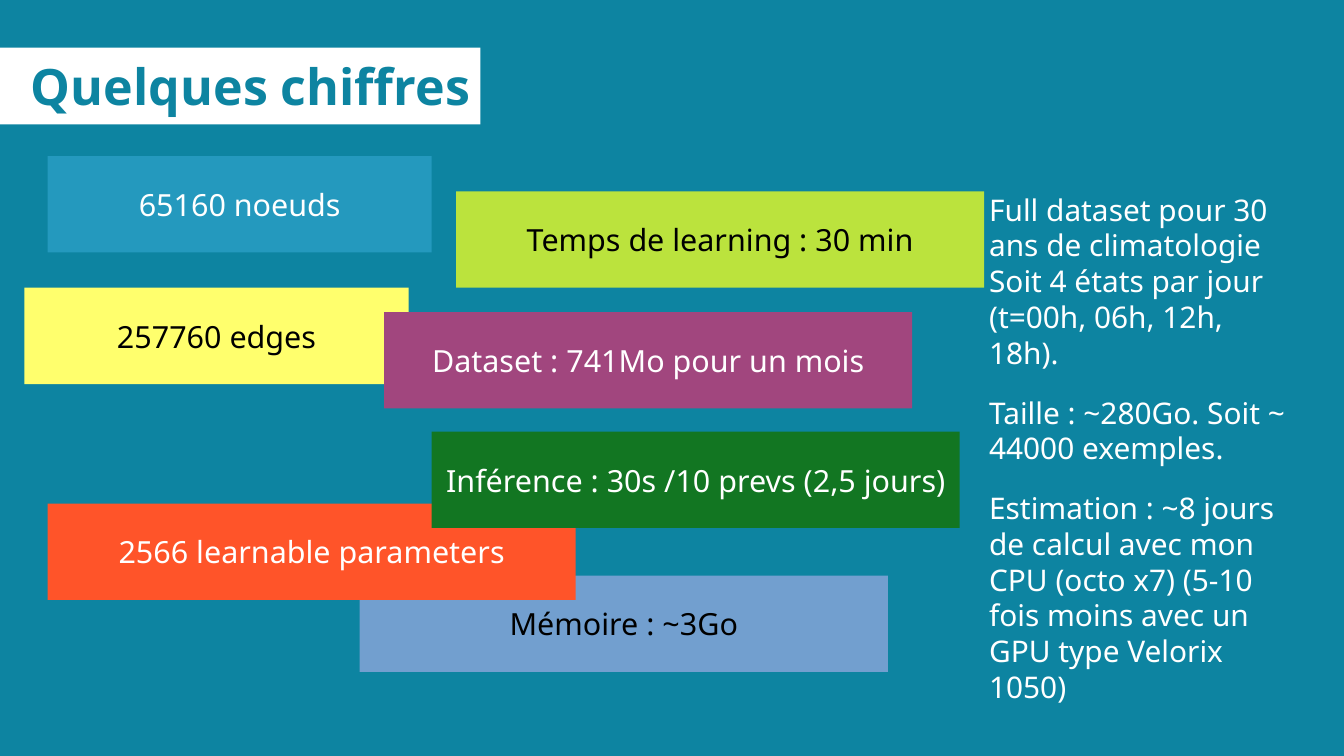
from dataclasses import dataclass

from pptx import Presentation
from pptx import util as u
from pptx.dml.color import RGBColor
from pptx.enum import shapes, text

FONT = "Noto Sans"
TEAL = RGBColor(0x0D, 0x84, 0xA1)
WHITE = RGBColor(0xFF, 0xFF, 0xFF)
BLACK = RGBColor(0x00, 0x00, 0x00)
BLUE = RGBColor(0x24, 0x99, 0xBE)
YELLOW = RGBColor(0xFF, 0xFF, 0x6D)
PURPLE = RGBColor(0xA1, 0x46, 0x7E)
LIME = RGBColor(0xBB, 0xE3, 0x3D)
PERIWINKLE = RGBColor(0x72, 0x9F, 0xCF)
ORANGE = RGBColor(0xFF, 0x54, 0x29)
GREEN = RGBColor(0x12, 0x76, 0x22)

NARROW, WIDE, CARD_HEIGHT = 3.15, 4.33, 0.79
NO_MARGINS = dict(margin_left=0, margin_top=0, margin_right=0, margin_bottom=0)


@dataclass
class Card:
    label: str
    left: float
    top: float
    width: float
    fill: RGBColor
    color: RGBColor = WHITE


# Back to front, since some cards overlap
CARDS = [
    Card("65160 noeuds", 0.39, 1.28, NARROW, BLUE),
    Card("257760 edges", 0.2, 2.36, NARROW, YELLOW, BLACK),
    Card("Dataset : 741Mo pour un mois", 3.15, 2.56, WIDE, PURPLE),
    Card("Temps de learning : 30 min", 3.74, 1.57, WIDE, LIME, BLACK),
    Card("Mémoire : ~3Go", 2.95, 4.72, WIDE, PERIWINKLE, BLACK),
    Card("2566 learnable parameters", 0.39, 4.13, WIDE, ORANGE),
    Card("Inférence : 30s /10 prevs (2,5 jours)", 3.54, 3.54, WIDE, GREEN),
]

NOTES = [
    "Full dataset pour 30 ans de climatologie\v"
    "Soit 4 états par jour (t=00h, 06h, 12h, 18h).",
    "Taille : ~280Go. Soit ~ 44000 exemples.",
    "Estimation : ~8 jours de calcul avec mon CPU (octo x7) "
    "(5-10 fois moins avec un GPU type Velorix 1050)",
]


def set_all(target: object, values: dict) -> None:
    for name, value in values.items():
        setattr(target, name, value)


def write(para, wording: str, size: float, color: RGBColor, bold: bool = False) -> None:
    para.text = wording
    for span in para.runs:
        set_all(span.font, dict(name=FONT, size=u.Pt(size), bold=bold))
        span.font.color.rgb = color


def add_block(page, left: float, top: float, width: float, height: float, fill: RGBColor):
    block = page.shapes.add_shape(
        shapes.MSO_SHAPE.RECTANGLE,
        u.Inches(left), u.Inches(top), u.Inches(width), u.Inches(height))
    block.shadow.inherit = False
    block.fill.solid()
    block.fill.fore_color.rgb = fill
    block.line.fill.background()
    return block


def add_text_frame(page, left: float, top: float, width: float, height: float):
    box = page.shapes.add_textbox(
        u.Inches(left), u.Inches(top), u.Inches(width), u.Inches(height))
    set_all(box.text_frame, dict(word_wrap=True, **NO_MARGINS))
    return box.text_frame


def add_title(page) -> None:
    add_block(page, 0, 0.39, 3.94, 0.63, WHITE)
    frame = add_text_frame(page, 0, 0.31, 3.86, 0.79)
    frame.vertical_anchor = text.MSO_ANCHOR.MIDDLE
    para = frame.paragraphs[0]
    para.alignment = text.PP_ALIGN.RIGHT
    write(para, "Quelques chiffres", 29.6, TEAL, bold=True)


def add_notes(page) -> None:
    frame = add_text_frame(page, 8.11, 1.57, 2.52, 3.94)
    for index, wording in enumerate(NOTES):
        para = frame.add_paragraph() if index else frame.paragraphs[0]
        set_all(para, dict(line_spacing=1.0, space_before=u.Pt(14.2 if index else 0)))
        write(para, wording, 17.6, WHITE)


def add_card(page, card: Card) -> None:
    block = add_block(page, card.left, card.top, card.width, CARD_HEIGHT, card.fill)
    set_all(block.text_frame,
            dict(word_wrap=False, vertical_anchor=text.MSO_ANCHOR.MIDDLE))
    para = block.text_frame.paragraphs[0]
    para.alignment = text.PP_ALIGN.CENTER
    write(para, card.label, 18, card.color)


def main() -> None:
    deck = Presentation()
    set_all(deck, dict(slide_width=u.Inches(11.02), slide_height=u.Inches(6.2)))
    page = deck.slides.add_slide(deck.slide_layouts[6])
    page.background.fill.solid()
    page.background.fill.fore_color.rgb = TEAL

    # Title band, side notes, then the figures
    add_title(page)
    add_notes(page)
    for card in CARDS:
        add_card(page, card)
    deck.save("out.pptx")


if __name__ == "__main__":
    main()
